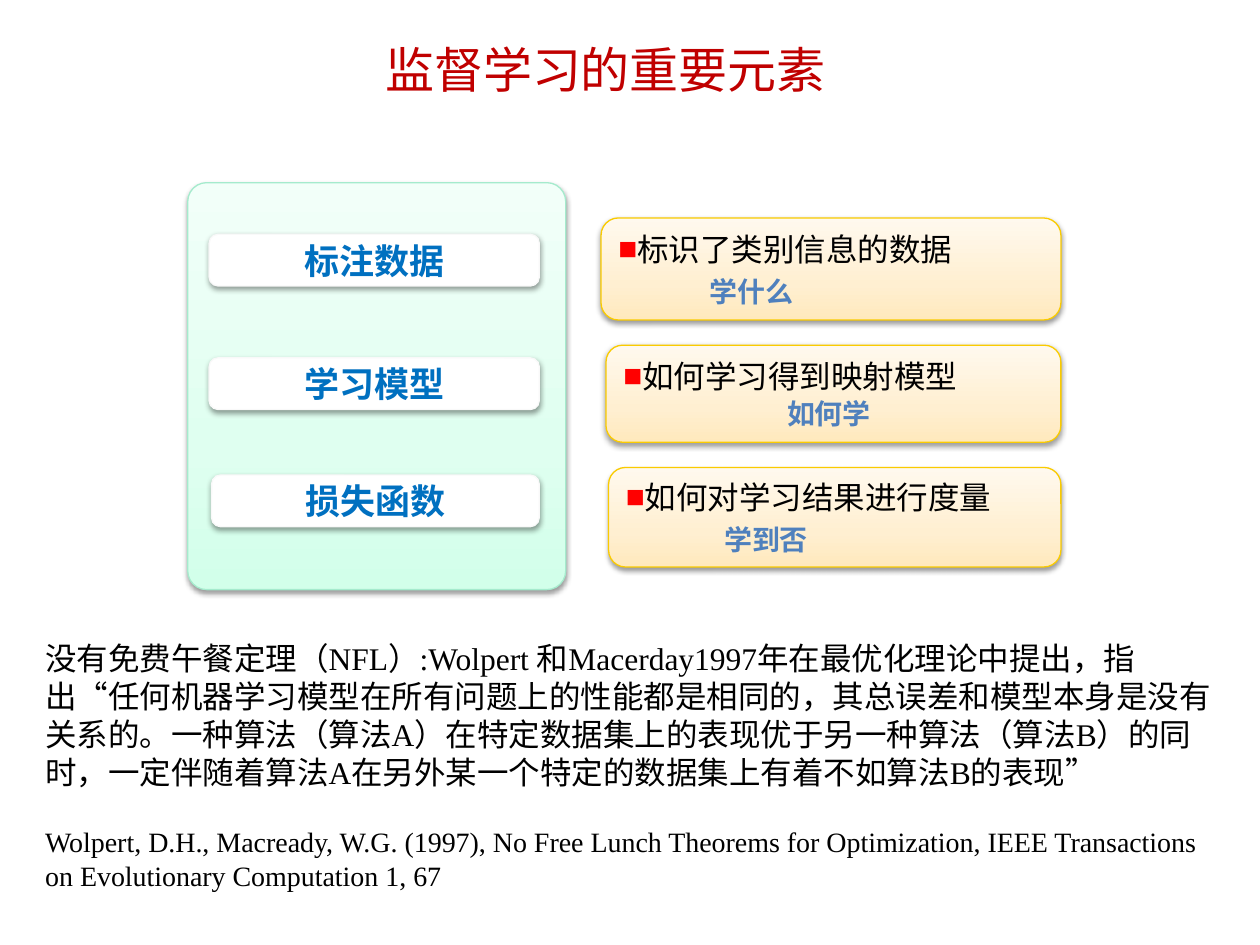
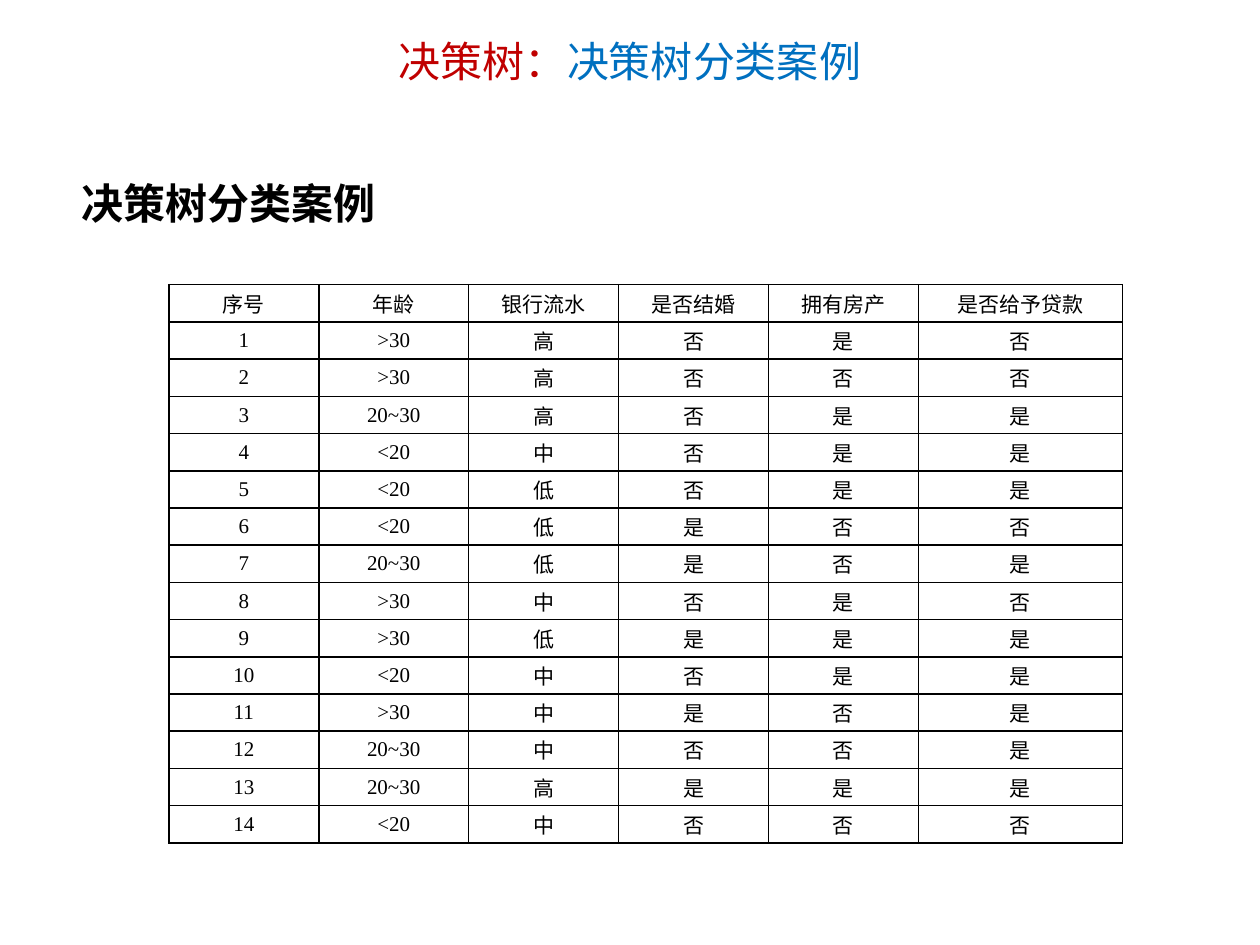
from dataclasses import dataclass

import lxml.etree
import pptx
import pptx.dml.color
import pptx.enum.shapes
import pptx.enum.text
import pptx.oxml
import pptx.oxml.ns
import pptx.util

Pt = pptx.util.Pt
qn = pptx.oxml.ns.qn
ALIGN = pptx.enum.text.PP_ALIGN
ANCHOR = pptx.enum.text.MSO_ANCHOR

SANS = "Noto Sans CJK SC"
SERIF = "Times New Roman"
RED, BLUE, STEEL, BLACK, WHITE = "C00000", "0070C0", "4F80BD", "000000", "FFFFFF"
GREEN_FADE = ("D2FFEA", "DFFFF0", "F2FFF9")
AMBER_FADE = ("FFE9BD", "FFEFD1", "FFF9EE")
FADE_STOPS = (0, 35, 100)

prs = pptx.Presentation()
prs.slide_width = pptx.util.Inches(10)
prs.slide_height = pptx.util.Inches(7.5)
COL = prs.slide_width / 100
ROW = prs.slide_height / 75


@dataclass
class Area:
    col: float
    row: float
    cols: float
    rows: float

    def emu(self) -> tuple[int, ...]:
        return (round(self.col * COL), round(self.row * ROW),
                round(self.cols * COL), round(self.rows * ROW))


@dataclass
class Element:
    name: str
    chip: Area
    note: Area
    meaning: str
    question: str
    question_indent: float
    question_pitch: float


ELEMENTS = [
    Element("标注数据", Area(16.6, 18.6, 26.2, 4.1), Area(47.7, 17.3, 36.5, 8.1),
            "标识了类别信息的数据", "学什么", 7.2, 23),
    Element("学习模型", Area(16.6, 28.4, 26.2, 4.1), Area(48.1, 27.4, 36.1, 7.7),
            "如何学习得到映射模型", "如何学", 13, 20),
    Element("损失函数", Area(16.8, 37.7, 26, 4.1), Area(48.3, 37.1, 35.9, 7.9),
            "如何对学习结果进行度量", "学到否", 7.8, 23),
]

THEOREM = ("没有免费午餐定理（NFL）:Wolpert 和Macerday1997年在最优化理论中提出，指出“任何机器学习模型在"
           "所有问题上的性能都是相同的，其总误差和模型本身是没有关系的。一种算法（算法A）在特定数据集上的"
           "表现优于另一种算法（算法B）的同时，一定伴随着算法A在另外某一个特定的数据集上有着不如算法B的表现”")
CITATION = ("Wolpert, D.H., Macready, W.G. (1997), No Free Lunch Theorems for Optimization, "
            "IEEE Transactions on Evolutionary Computation 1, 67")

HEADINGS = "序号 年龄 银行流水 是否结婚 拥有房产 是否给予贷款".split()
APPLICANTS = """
>30 高 否 是 否
>30 高 否 否 否
20~30 高 否 是 是
<20 中 否 是 是
<20 低 否 是 是
<20 低 是 否 否
20~30 低 是 否 是
>30 中 否 是 否
>30 低 是 是 是
<20 中 否 是 是
>30 中 是 否 是
20~30 中 否 否 是
20~30 高 是 是 是
<20 中 否 否 否
""".strip().splitlines()


def rgb(value: str) -> pptx.dml.color.RGBColor:
    return pptx.dml.color.RGBColor.from_string(value)


def add_text(p, text: str, size: float, color: str = BLACK, font: str = SANS,
             bold: bool = False, align=None, pitch=None, before=None) -> None:
    r = p.add_run()
    r.text = text
    r.font.size = Pt(size)
    r.font.bold = bold
    r.font.name = font
    r.font.color.rgb = rgb(color)
    ea = lxml.etree.SubElement(r._r.get_or_add_rPr(), qn("a:ea"))
    ea.set("typeface", SANS)
    if align is not None:
        p.alignment = align
    if pitch is not None:
        p.line_spacing = pitch
    if before is not None:
        p.space_before = Pt(before)


def set_frame(tf, sides: float, top: float, bottom: float, anchor=ANCHOR.MIDDLE,
              wrap: bool = True) -> None:
    tf.margin_left = tf.margin_right = round(sides * COL)
    tf.margin_top, tf.margin_bottom = round(top * ROW), round(bottom * ROW)
    tf.vertical_anchor = anchor
    tf.word_wrap = wrap


def add_slide(area: Area, size: float, *parts: tuple[str, str]):
    slide = prs.slides.add_slide(prs.slide_layouts[5])
    sp = slide.shapes.title
    sp.left, sp.top, sp.width, sp.height = area.emu()
    set_frame(sp.text_frame, 1, 1.6, 0.5)
    sp.text_frame.auto_size = pptx.enum.text.MSO_AUTO_SIZE.NONE
    for text, color in parts:
        add_text(sp.text_frame.paragraphs[0], text, size, color,
                 align=ALIGN.CENTER, pitch=0.9)
    return slide


def add_textbox(slide, area: Area, wrap: bool = True):
    tf = slide.shapes.add_textbox(*area.emu()).text_frame
    set_frame(tf, 1, 0.5, 0.5, ANCHOR.TOP, wrap)
    return tf


def add_card(slide, area: Area, line: str, fade: tuple[str, ...] = (), radius: float = 0.17):
    sp = slide.shapes.add_shape(pptx.enum.shapes.MSO_SHAPE.ROUNDED_RECTANGLE, *area.emu())
    sp.adjustments[0] = radius
    if fade:
        sp.fill.gradient()
        sp.fill.gradient_angle = 90
        stops = sp._element.spPr.find(".//" + qn("a:gsLst"))
        for old in list(stops):
            stops.remove(old)
        for pos, color in zip(FADE_STOPS, fade):
            gs = lxml.etree.SubElement(stops, qn("a:gs"), pos=str(pos * 1000))
            lxml.etree.SubElement(gs, qn("a:srgbClr"), val=color)
    else:
        sp.fill.solid()
        sp.fill.fore_color.rgb = rgb(WHITE)
    sp.line.color.rgb = rgb(line)
    sp.line.width = Pt(0.75)
    sp.shadow.inherit = False
    shadow = lxml.etree.SubElement(
        sp._element.spPr.find(qn("a:effectLst")), qn("a:outerShdw"),
        blurRad=str(Pt(3.1)), dist=str(Pt(1.6)), dir="5400000", rotWithShape="0")
    clr = lxml.etree.SubElement(shadow, qn("a:srgbClr"), val=BLACK)
    lxml.etree.SubElement(clr, qn("a:alpha"), val="38000")
    set_frame(sp.text_frame, 1, 0, 0)
    return sp.text_frame


def set_indent(p, cols: float, hanging: float = 0) -> None:
    pPr = p._p.get_or_add_pPr()
    pPr.set("marL", str(round(cols * COL)))
    pPr.set("indent", str(round(-hanging * COL)))


def add_bullet(p, char: str, color: str) -> None:
    pPr = p._p.get_or_add_pPr()
    bu = lxml.etree.SubElement(pPr, qn("a:buClr"))
    lxml.etree.SubElement(bu, qn("a:srgbClr"), val=color)
    lxml.etree.SubElement(pPr, qn("a:buFont"), typeface=SERIF)
    lxml.etree.SubElement(pPr, qn("a:buChar"), char=char)


def add_element(slide, element: Element) -> None:
    tf = add_card(slide, element.chip, "F9F9F9")
    add_text(tf.paragraphs[0], element.name, 20, BLUE, SERIF, bold=True, align=ALIGN.CENTER)
    tf = add_card(slide, element.note, "FACB00", AMBER_FADE)
    p = tf.paragraphs[0]
    set_indent(p, 1.4, 1.4)
    add_bullet(p, "■", "FF0000")
    add_text(p, element.meaning, 18, align=ALIGN.LEFT)
    p = tf.add_paragraph()
    set_indent(p, element.question_indent)
    add_text(p, element.question, 16, STEEL, bold=True, align=ALIGN.LEFT,
             pitch=Pt(element.question_pitch))


def format_cell(cell, text: str) -> None:
    tcPr = cell._tc.get_or_add_tcPr()
    for side in ("lnL", "lnR", "lnT", "lnB"):
        ln = lxml.etree.SubElement(tcPr, qn("a:" + side), w=str(Pt(1)))
        fill = lxml.etree.SubElement(ln, qn("a:solidFill"))
        lxml.etree.SubElement(fill, qn("a:srgbClr"), val=BLACK)
    cell.fill.solid()
    cell.fill.fore_color.rgb = rgb(WHITE)
    cell.margin_left = cell.margin_right = round(0.7 * COL)
    cell.margin_top = cell.margin_bottom = 0
    cell.vertical_anchor = ANCHOR.MIDDLE
    add_text(cell.text_frame.paragraphs[0], text, 12, font=SERIF, align=ALIGN.CENTER)


def add_grid(slide, area: Area, widths: list[float], data: list[list[str]]) -> None:
    table = slide.shapes.add_table(len(data), len(widths), *area.emu()).table
    table.first_row = table.horz_banding = False
    for column, width in zip(table.columns, widths):
        column.width = round(width * COL)
    for i, values in enumerate(data):
        table.rows[i].height = round(area.rows * ROW / len(data))
        for j, text in enumerate(values):
            format_cell(table.cell(i, j), text)


def build_elements_slide() -> None:
    slide = add_slide(Area(7, 1.6, 82.1, 7.2), 28, ("监督学习的重要元素", RED))
    add_card(slide, Area(14.9, 14.5, 30, 32.3), "A5EBCD", GREEN_FADE, 0.05)
    for element in ELEMENTS:
        add_element(slide, element)
    tf = add_textbox(slide, Area(2.6, 50.2, 94.8, 21.2))
    add_text(tf.paragraphs[0], THEOREM, 18, font=SERIF, pitch=Pt(21.7))
    add_text(tf.add_paragraph(), CITATION, 16, font=SERIF, pitch=Pt(19.4), before=19)


def build_case_slide() -> None:
    slide = add_slide(Area(0, 0.1, 100, 8.9), 24, ("决策树：", RED), ("决策树分类案例", BLUE))
    tf = add_textbox(slide, Area(5.5, 13.6, 25.7, 5), wrap=False)
    add_text(tf.paragraphs[0], "决策树分类案例", 24, bold=True)
    rows = [[str(n), *line.split()] for n, line in enumerate(APPLICANTS, 1)]
    add_grid(slide, Area(13.4, 22.6, 75.7, 44.3), [11.9] * 5 + [16.2], [HEADINGS, *rows])


if __name__ == "__main__":
    build_elements_slide()
    build_case_slide()
    prs.save("out.pptx")
